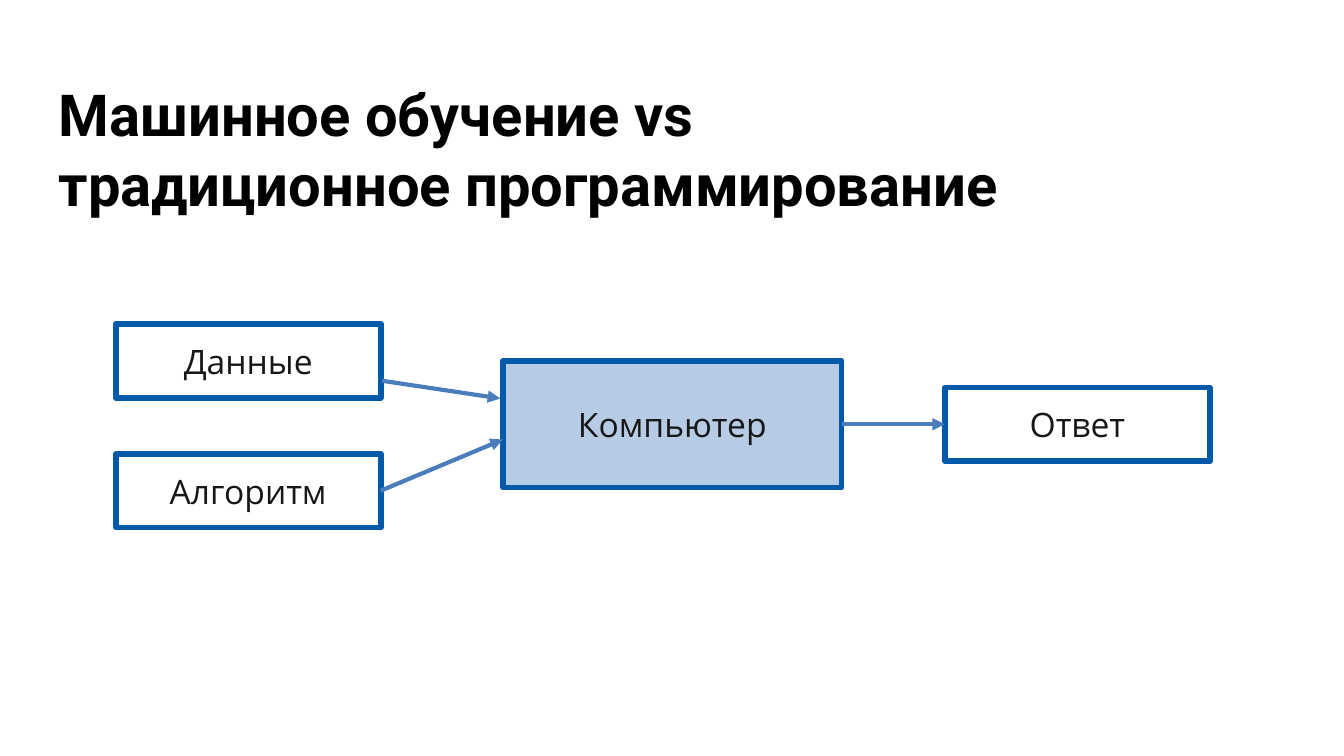
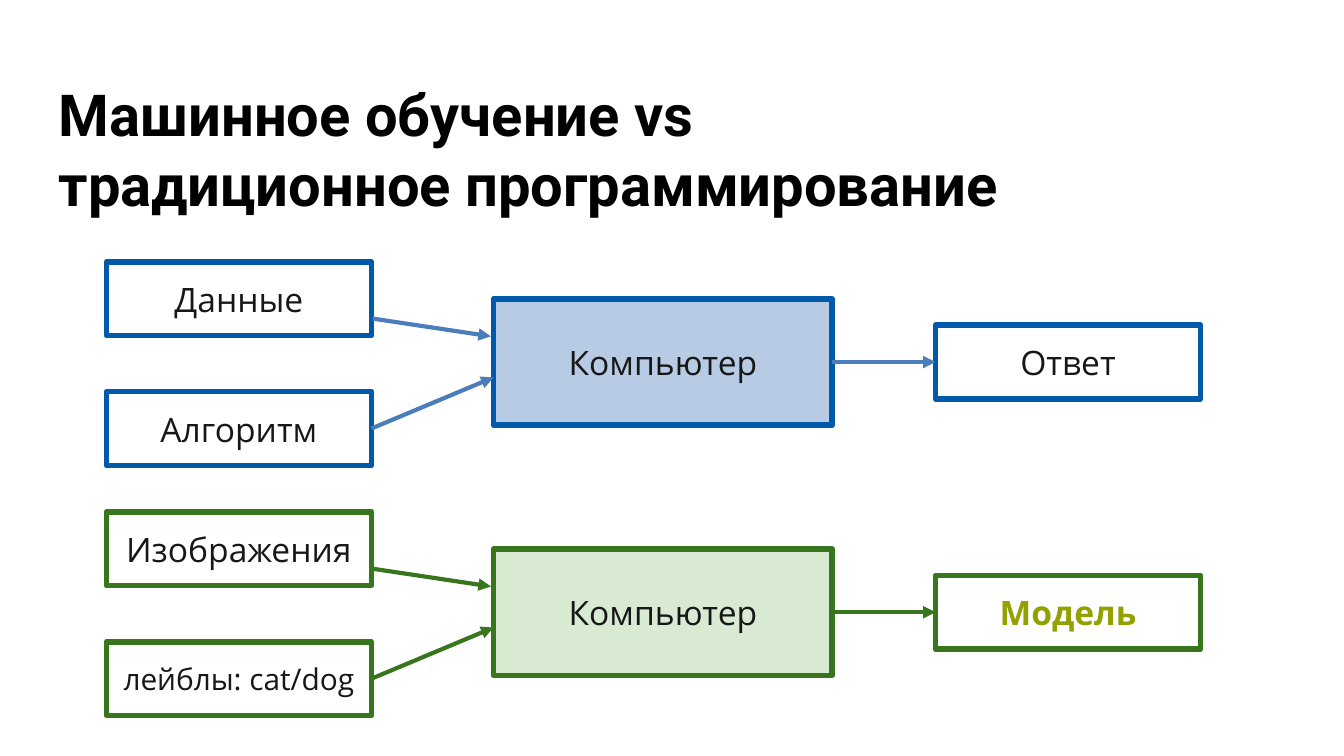
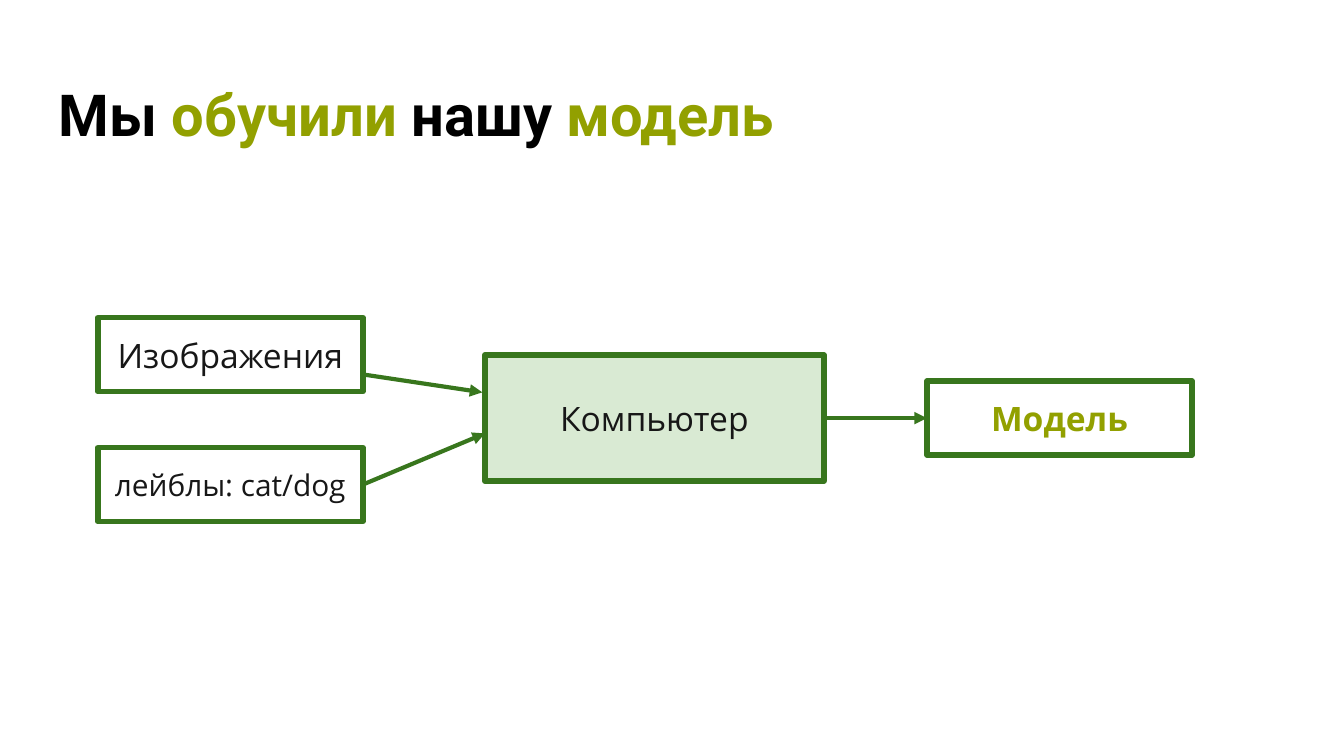
"""Builds three slides that contrast machine learning with traditional programming."""
from lxml import etree
from pptx import Presentation
from pptx.dml.color import RGBColor
from pptx.enum.shapes import MSO_CONNECTOR, MSO_SHAPE
from pptx.enum.text import MSO_ANCHOR, PP_ALIGN
from pptx.oxml.ns import qn
from pptx.util import Pt

RECTANGLE, STRAIGHT = MSO_SHAPE.RECTANGLE, MSO_CONNECTOR.STRAIGHT
MIDDLE, CENTER = MSO_ANCHOR.MIDDLE, PP_ALIGN.CENTER
LEFT_SIDE, RIGHT_SIDE = 1, 3

BLACK, INK, OLIVE = "000000", "171717", "92A000"
BLUE = {"outline": "0059A9", "fill": "B7CCE4", "arrow": "4A7DBA"}
GREEN = {"outline": "38761D", "fill": "D9EAD3", "arrow": "38761D"}

PROGRAMMING = {
    "inputs": [("Данные", 18), ("Алгоритм", 18)],
    "machine": "Компьютер", "output": "Ответ",
    "output_color": INK, "output_bold": False, "palette": BLUE,
}
LEARNING = {
    "inputs": [("Изображения", 18), ("лейблы: cat/dog", 16)],
    "machine": "Компьютер", "output": "Модель",
    "output_color": OLIVE, "output_bold": True, "palette": GREEN,
}
VERSUS = [[("Машинное обучение vs", BLACK)],
          [("традиционное программирование", BLACK)]]
TRAINED = [[("Мы ", BLACK), ("обучили", OLIVE), (" нашу ", BLACK), ("модель", OLIVE)]]

SLIDES = [
    (VERSUS, [(PROGRAMMING, 62, 173.5)]),
    (VERSUS, [(PROGRAMMING, 57, 140.2), (LEARNING, 57, 274.2)]),
    (TRAINED, [(LEARNING, 52.4, 170.2)]),
]

BOX_W, BOX_H = 142, 39.6
MACHINE_W, MACHINE_H = 181.5, 67.7
INPUT_STEP = 69.6
MACHINE_X, OUTPUT_X = 207.4, 444.2
AXIS_Y = 53.8


def rgb(value):
    return RGBColor.from_string(value)


def add_title(slide, lines):
    title = slide.shapes.add_textbox(Pt(24.5), Pt(35), Pt(671), Pt(45.5))
    frame = title.text_frame
    frame.word_wrap = True
    frame.margin_left = frame.margin_right = Pt(7.2)
    frame.margin_top = frame.margin_bottom = Pt(7.2)
    paragraph = frame.paragraphs[0]
    for number, line in enumerate(lines):
        if number:
            paragraph.add_line_break()
        for words, color in line:
            run = paragraph.add_run()
            run.text = words
            run.font.color.rgb = rgb(color)
    font = paragraph.font
    font.name, font.size, font.bold = "Roboto", Pt(31), True


def add_box(slide, label, left, middle, width, height, outline,
            fill=None, size=18, color=INK, bold=False):
    box = slide.shapes.add_shape(
        RECTANGLE, Pt(left), Pt(middle - height / 2), Pt(width), Pt(height))
    box.shadow.inherit = False
    if fill:
        box.fill.solid()
        box.fill.fore_color.rgb = rgb(fill)
    else:
        box.fill.background()
    box.line.color.rgb = rgb(outline)
    box.line.width = Pt(3)
    frame = box.text_frame
    frame.word_wrap = True
    frame.vertical_anchor = MIDDLE
    frame.margin_left = frame.margin_right = Pt(3)
    frame.margin_top = frame.margin_bottom = Pt(3)
    paragraph = frame.paragraphs[0]
    paragraph.text = label
    paragraph.alignment = CENTER
    font = paragraph.font
    font.name, font.size, font.bold = "Open Sans", Pt(size), bold
    font.color.rgb = rgb(color)
    return box


def add_arrow(slide, start, end, color):
    arrow = slide.shapes.add_connector(STRAIGHT, *(Pt(v) for v in (*start, *end)))
    arrow.line.color.rgb = rgb(color)
    arrow.line.width = Pt(2.25)
    etree.SubElement(arrow.line._get_or_add_ln(), qn("a:tailEnd"), type="triangle")
    etree.SubElement(arrow._element.spPr, qn("a:effectLst"))
    return arrow


def add_flow(slide, flow, left, top):
    palette = flow["palette"]
    outline, arrow_color = palette["outline"], palette["arrow"]
    axis = top + AXIS_Y
    machine_left, output_left = left + MACHINE_X, left + OUTPUT_X

    machine = add_box(slide, flow["machine"], machine_left, axis,
                      MACHINE_W, MACHINE_H, outline, palette["fill"])
    inputs = [add_box(slide, label, left, top + BOX_H / 2 + row * INPUT_STEP,
                      BOX_W, BOX_H, outline, size=size)
              for row, (label, size) in enumerate(flow["inputs"])]
    output = add_box(slide, flow["output"], output_left, axis, BOX_W, BOX_H, outline,
                     color=flow["output_color"], bold=flow["output_bold"])

    right = left + BOX_W
    add_arrow(slide, (right + 0.7, top + 30.5), (machine_left - 1.4, top + 40), arrow_color)
    second = add_arrow(slide, (right, top + INPUT_STEP + BOX_H / 2),
                       (machine_left, top + 62), arrow_color)
    second.begin_connect(inputs[1], RIGHT_SIDE)
    result = add_arrow(slide, (machine_left + MACHINE_W, axis), (output_left, axis), arrow_color)
    result.begin_connect(machine, RIGHT_SIDE)
    result.end_connect(output, LEFT_SIDE)


def main():
    deck = Presentation()
    deck.slide_width, deck.slide_height = Pt(720), Pt(405)
    blank = deck.slide_layouts[6]
    for title, flows in SLIDES:
        slide = deck.slides.add_slide(blank)
        add_title(slide, title)
        for flow, left, top in flows:
            add_flow(slide, flow, left, top)
    deck.save("out.pptx")


if __name__ == "__main__":
    main()
